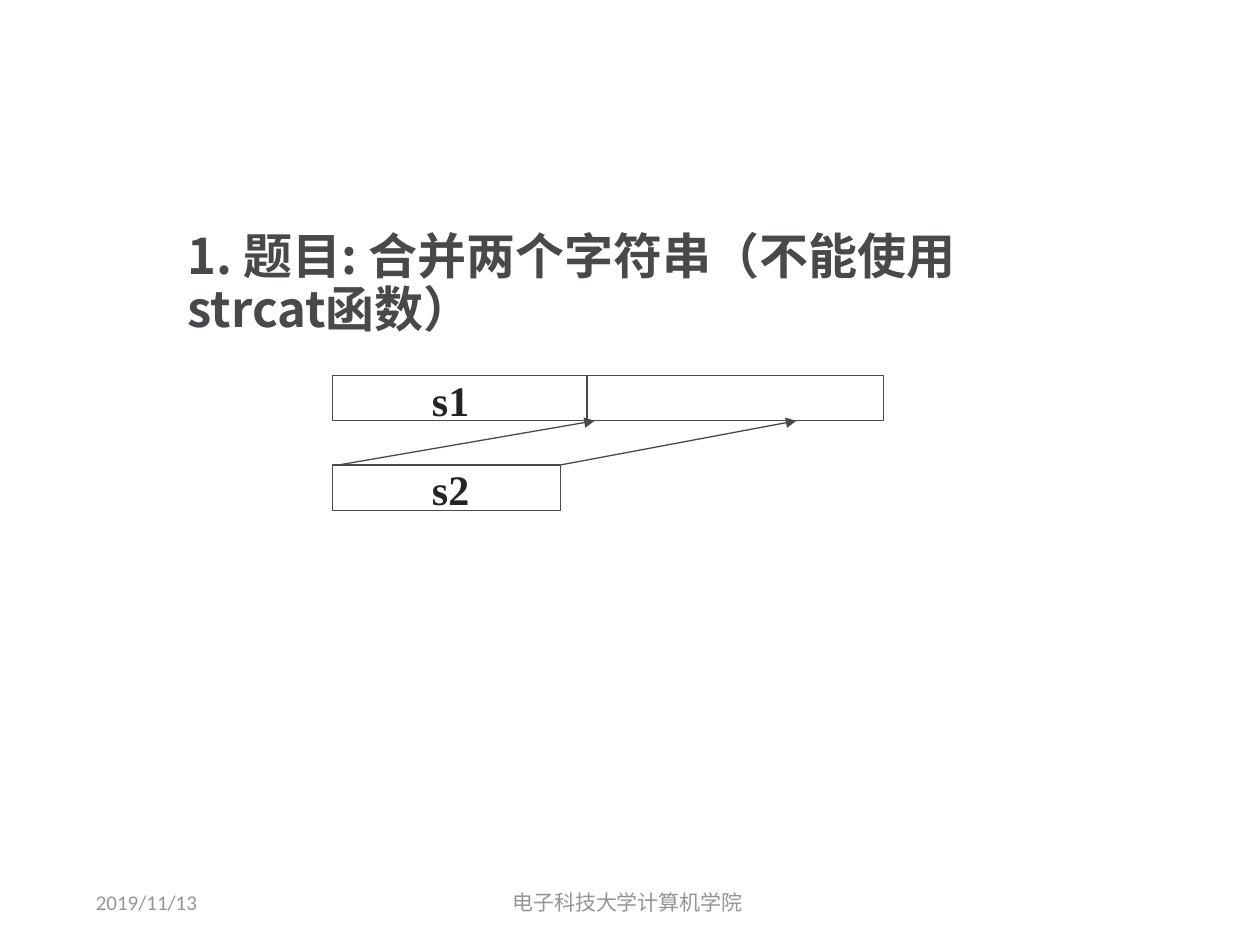
import pptx
import pptx.util
import pptx.dml.color
import pptx.enum.shapes
import pptx.enum.text
import pptx.oxml.ns
import lxml.etree

Inches = pptx.util.Inches
Align = pptx.enum.text.PP_ALIGN
qn = pptx.oxml.ns.qn

COLORS = {"title": "47494B", "line": "47494B", "label": "232426", "footer": "959596"}
TITLE = "1. 题目: 合并两个字符串（不能使用strcat函数）"
FOOTERS = [
    ("2019/11/13", 0.69, 2.25, Align.LEFT),
    ("电子科技大学计算机学院 ", 3.31, 3.38, Align.CENTER),
]
LEFT, BAR_HEIGHT = 2.64, 0.36
BARS = [
    ("s1", 2.98, 4.37, 1.01),
    ("s2", 3.69, 1.81, 0.91),
]
TOP, BOTTOM = BARS[0][1], BARS[0][1] + BAR_HEIGHT
LOWER = BARS[1][1]
DIVIDER = ((4.66, TOP), (4.66, BOTTOM))
ARROWS = [
    ((2.69, LOWER), (4.72, BOTTOM)),
    ((LEFT + BARS[1][2], LOWER), (6.32, BOTTOM)),
]


def color(name):
    return pptx.dml.color.RGBColor.from_string(COLORS[name])


def write(box, text, font, size, tint, bold=False, align=Align.LEFT):
    frame = box.text_frame
    frame.word_wrap = True
    frame.vertical_anchor = pptx.enum.text.MSO_ANCHOR.TOP
    frame.text = text
    para = frame.paragraphs[0]
    para.alignment = align
    para.font.name = font
    para.font.size = pptx.util.Pt(size)
    para.font.bold = bold
    para.font.color.rgb = color(tint)
    defaults = para._p.pPr.find(qn("a:defRPr"))
    latin = defaults.find(qn("a:latin"))
    east = lxml.etree.Element(qn("a:ea"), typeface=font)
    latin.addnext(east)
    return frame


def style_line(line):
    line.color.rgb = color("line")
    line.width = pptx.util.Pt(0.75)


def add_line(group, start, end, arrow=False):
    connector = group.shapes.add_connector(
        pptx.enum.shapes.MSO_CONNECTOR.STRAIGHT,
        *(Inches(value) for value in start + end))
    style_line(connector.line)
    properties = connector._element.spPr
    if arrow:
        lxml.etree.SubElement(properties.find(qn("a:ln")), qn("a:tailEnd"), type="triangle")
    lxml.etree.SubElement(properties, qn("a:effectLst"))


def add_bar(group, label, top, width, label_width):
    bar = group.shapes.add_shape(
        pptx.enum.shapes.MSO_SHAPE.RECTANGLE,
        Inches(LEFT), Inches(top), Inches(width), Inches(BAR_HEIGHT))
    bar.shadow.inherit = False
    bar.fill.background()
    style_line(bar.line)
    box = group.shapes.add_textbox(
        Inches(3.33), Inches(top - 0.06), Inches(label_width), Inches(0.5))
    write(box, label, "Times New Roman", 24, "label", bold=True)


def main():
    deck = pptx.Presentation()
    deck.slide_width, deck.slide_height = Inches(10), Inches(7.5)
    page = deck.slides.add_slide(deck.slide_layouts[5])

    title = page.shapes.title
    title.left, title.top = Inches(1.39), Inches(1.79)
    title.width, title.height = Inches(6.44), Inches(0.95)
    frame = write(title, TITLE, "Noto Sans CJK SC", 28, "title", bold=True)
    frame.auto_size = pptx.enum.text.MSO_AUTO_SIZE.NONE
    frame.paragraphs[0].line_spacing = 0.9

    for text, left, width, align in FOOTERS:
        box = page.shapes.add_textbox(Inches(left), Inches(7.02), Inches(width), Inches(0.4))
        frame = write(box, text, "Calibri", 12, "footer", align=align)
        frame.margin_left = frame.margin_right = Inches(0.07)
        frame.margin_top = frame.margin_bottom = Inches(0.04)

    diagram = page.shapes.add_group_shape()
    for bar in BARS:
        add_bar(diagram, *bar)
    add_line(diagram, *DIVIDER)
    for start, end in ARROWS:
        add_line(diagram, start, end, arrow=True)

    deck.save("out.pptx")


if __name__ == "__main__":
    main()
